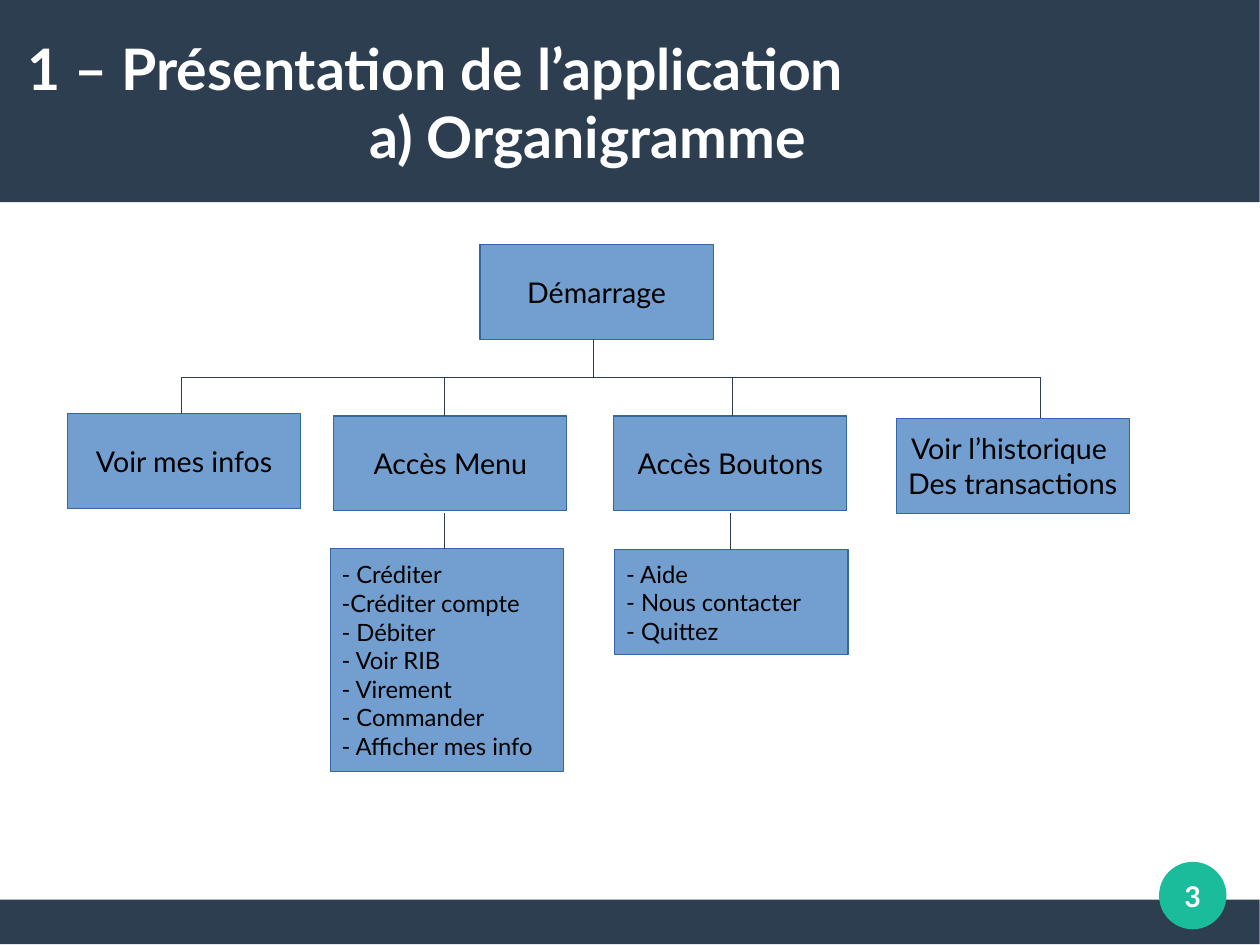
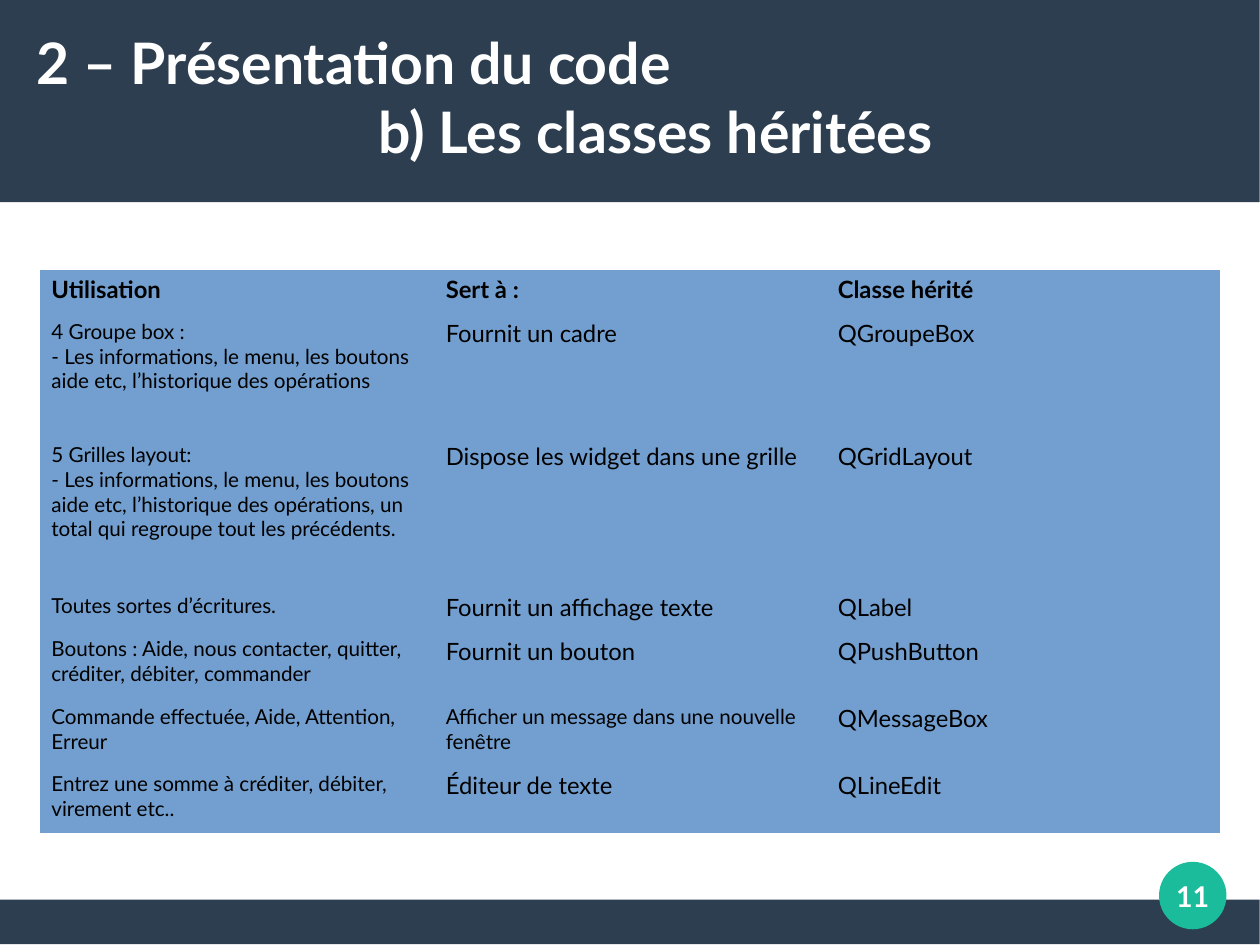
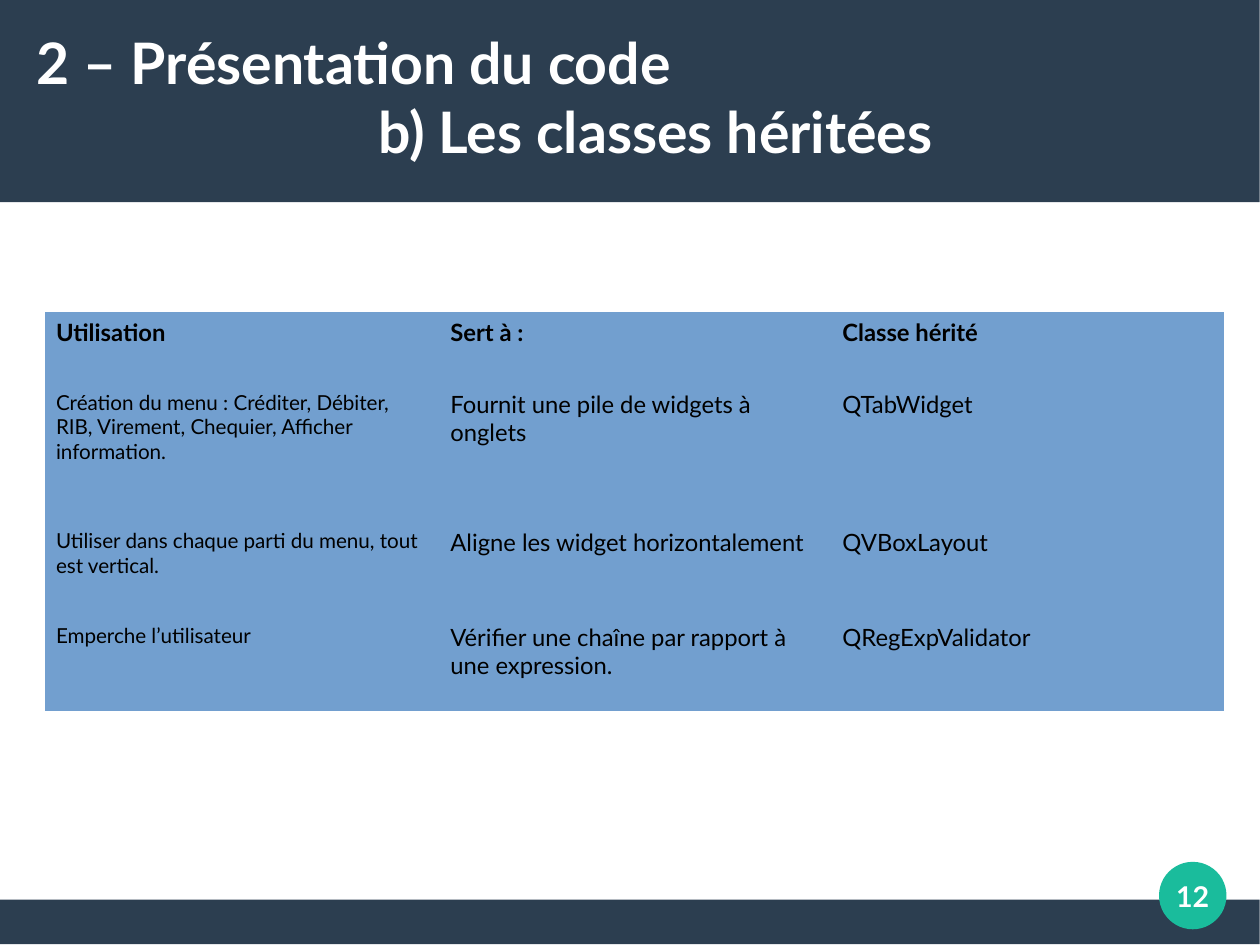
from pptx import Presentation
from pptx.dml.color import RGBColor
from pptx.enum.shapes import MSO_CONNECTOR, MSO_SHAPE
from pptx.enum.text import MSO_ANCHOR, MSO_AUTO_SIZE, PP_ALIGN
from pptx.oxml.ns import qn
from pptx.util import Cm, Inches, Pt

WIDE = 11.02
NAVY, TEAL, BLUE, EDGE = "2C3E50", "1ABC9C", "729FCF", "3465A4"
WHITE, BLACK = "FFFFFF", "000000"
NO_GRID = "{2D5ABB26-0587-4C30-8999-92F81FD0307C}"
TITLE = {"size": Pt(36), "bold": True}
BADGE = {"size": Pt(18), "bold": True}
NODE = {"size": Pt(18), "bold": False}
LIST = {"size": Pt(15), "bold": False}
HEAD = {"size": Pt(15), "bold": True}
SMALL = {"size": Pt(13), "bold": False}
BARE = {"margin_left": 0, "margin_top": 0, "margin_right": 0, "margin_bottom": 0,
        "vertical_anchor": MSO_ANCHOR.MIDDLE, "word_wrap": True,
        "auto_size": MSO_AUTO_SIZE.NONE}
INSET = {"margin_left": Inches(0.1), "margin_top": Inches(0.05),
         "margin_right": Inches(0.1), "margin_bottom": Inches(0.05),
         "vertical_anchor": MSO_ANCHOR.MIDDLE, "word_wrap": False}

COLS = [3.45, 3.43, 3.44]
HEADS = ("Utilisation", "Sert à :", "Classe hérité")
BASICS = [
    ("4 Groupe box :\n- Les informations, le menu, les boutons aide etc, "
     "l’historique des opérations", "Fournit un cadre", "QGroupeBox"),
    ("5 Grilles layout:\n- Les informations, le menu, les boutons aide etc, "
     "l’historique des opérations, un total qui regroupe tout les précédents.",
     "Dispose les widget dans une grille", "QGridLayout"),
    ("Toutes sortes d’écritures.", "Fournit un affichage texte", "QLabel"),
    ("Boutons : Aide, nous contacter, quitter, créditer, débiter, commander",
     "Fournit un bouton", "QPushButton"),
    ("Commande effectuée, Aide, Attention, Erreur",
     "Afficher un message dans une nouvelle fenêtre", "QMessageBox"),
    ("Entrez une somme à créditer, débiter, virement etc..",
     "Éditeur de texte", "QLineEdit"),
]
EXTRAS = [
    ("Création du menu : Créditer, Débiter, RIB, Virement, Chequier, "
     "Afficher information.", "Fournit une pile de widgets à onglets", "QTabWidget"),
    ("Utiliser dans chaque parti du menu, tout est vertical.",
     "Aligne les widget horizontalement", "QVBoxLayout"),
    ("Emperche l’utilisateur",
     "Vérifier une chaîne par rapport à une expression.", "QRegExpValidator"),
]
MENU = ("- Créditer\n-Créditer compte\n- Débiter\n- Voir RIB\n- Virement\n"
        "- Commander\n- Afficher mes info")
HELP = "- Aide\n- Nous contacter\n- Quittez"


def paint(part, color):
    part.solid()
    part.fore_color.rgb = RGBColor.from_string(color)


def apply(target, values):
    for name, value in values.items():
        setattr(target, name, value)


def write(frame, text, look, color=BLACK, align=PP_ALIGN.LEFT):
    frame.text = text
    for para in frame.paragraphs:
        para.alignment = align
        for run in para.runs:
            apply(run.font, {"name": "Lato", **look})
            paint(run.font.fill, color)


def shape(slide, kind, box, fill, edge=None):
    item = slide.shapes.add_shape(kind, *map(Inches, box))
    item.shadow.inherit = False
    paint(item.fill, fill)
    if edge:
        paint(item.line.fill, edge)
        item.line.width = Pt(0)
    else:
        item.line.fill.background()
    return item


def node(slide, box, text, look=NODE, align=PP_ALIGN.CENTER):
    item = shape(slide, MSO_SHAPE.RECTANGLE, box, BLUE, EDGE)
    apply(item.text_frame, INSET)
    write(item.text_frame, text, look, align=align)


def line(slide, *ends):
    item = slide.shapes.add_connector(MSO_CONNECTOR.STRAIGHT, *map(Inches, ends))
    paint(item.line.fill, NAVY)
    item.line.width = Pt(0.79)
    props = item.element.spPr
    props.append(props.makeelement(qn("a:effectLst"), {}))


def dress(layout, slide):
    """Move the shared bands and the number disc to the layout."""
    for holder in list(layout.placeholders)[1:]:
        layout.shapes.element.remove(holder.element)
    for kind, box, fill in (
            (MSO_SHAPE.RECTANGLE, (0, 7.87, WIDE, 0.39), NAVY),
            (MSO_SHAPE.RECTANGLE, (0, 0, WIDE, 1.77), NAVY),
            (MSO_SHAPE.OVAL, (10.14, 7.54, 0.59, 0.59), TEAL)):
        layout.shapes.element.append(shape(slide, kind, box, fill).element)


def title(slide, left, top, text):
    """Set the title, with a hanging indent for its second line."""
    item = slide.shapes.title
    apply(item, {"left": Inches(left), "top": Inches(top),
                 "width": Inches(10.24), "height": Inches(1.36)})
    apply(item.text_frame, BARE)
    write(item.text_frame, text, TITLE, WHITE)
    props = item.text_frame.paragraphs[0]._p.get_or_add_pPr()
    for name, size in (("marL", 2.99), ("indent", -2.99)):
        props.set(name, str(Inches(size)))


def badge(slide, number):
    box = slide.shapes.add_textbox(*map(Inches, (10.04, 7.44, 0.79, 0.79)))
    apply(box.text_frame, BARE)
    write(box.text_frame, str(number), BADGE, WHITE, PP_ALIGN.CENTER)


def chart(slide, left, top):
    """Draw the tree of screens from its top left corner."""
    wide, high, rail = 2.04, 0.83, top + 1.16
    node(slide, (left + 3.61, top, wide, high), "Démarrage")
    line(slide, left + 4.6, top + high, left + 4.6, rail)
    line(slide, left + 1, rail, left + 8.51, rail)
    for x, y, stem, text in (
            (0, 1.48, 1, "Voir mes infos"),
            (2.33, 1.5, 3.3, "Accès Menu"),
            (4.78, 1.5, 5.82, "Accès Boutons"),
            (7.25, 1.52, 8.51, "Voir l’historique \nDes transactions")):
        node(slide, (left + x, top + y, wide, high), text)
        line(slide, left + stem, rail, left + stem, top + y)
    for x, y, tall, stem, text in ((2.3, 2.66, 1.95, 3.3, MENU),
                                   (4.79, 2.67, 0.92, 5.8, HELP)):
        node(slide, (left + x, top + y, wide, tall), text, LIST, PP_ALIGN.LEFT)
        line(slide, left + stem, top + 2.35, left + stem, top + y)


def table(slide, left, top, rows, highs, small=()):
    """Fill the class table; small lists further cells in the lesser size."""
    box = map(Inches, (left, top, sum(COLS), sum(highs)))
    frame = slide.shapes.add_table(len(highs), len(COLS), *box)
    frame.element.xpath(".//a:tableStyleId")[0].text = NO_GRID
    grid = frame.table
    for col, wide in zip(grid.columns, COLS):
        col.width = Inches(wide)
    for i, (high, texts) in enumerate(zip(highs, [HEADS] + rows)):
        grid.rows[i].height = Inches(high)
        for j, text in enumerate(texts):
            cell = grid.cell(i, j)
            paint(cell.fill, BLUE)
            lesser = j == 0 or (i, j) in small
            look = HEAD if i == 0 else SMALL if lesser else LIST
            write(cell.text_frame, text, look)


def main():
    deck = Presentation()
    apply(deck, {"slide_width": Cm(28), "slide_height": Cm(21)})
    layout = deck.slide_layouts.get_by_name("Title Only")
    tree, basic, extra = [deck.slides.add_slide(layout) for _ in range(3)]
    dress(layout, tree)

    title(tree, 0.24, 0.21, "1 – Présentation de l’application \va) Organigramme")
    chart(tree, 0.59, 2.14)
    for slide in (basic, extra):
        title(slide, 0.32, 0.16, "2 – Présentation du code \vb) Les classes héritées")
    table(basic, 0.35, 2.36, BASICS,
          [0.38, 1.08, 1.32, 0.38, 0.59, 0.59, 0.59], {(5, 1)})
    table(extra, 0.39, 2.73, EXTRAS, [0.63, 1.21, 0.83, 0.82])
    for slide, number in zip((tree, basic, extra), (3, 11, 12)):
        badge(slide, number)
    deck.save("out.pptx")


if __name__ == "__main__":
    main()
